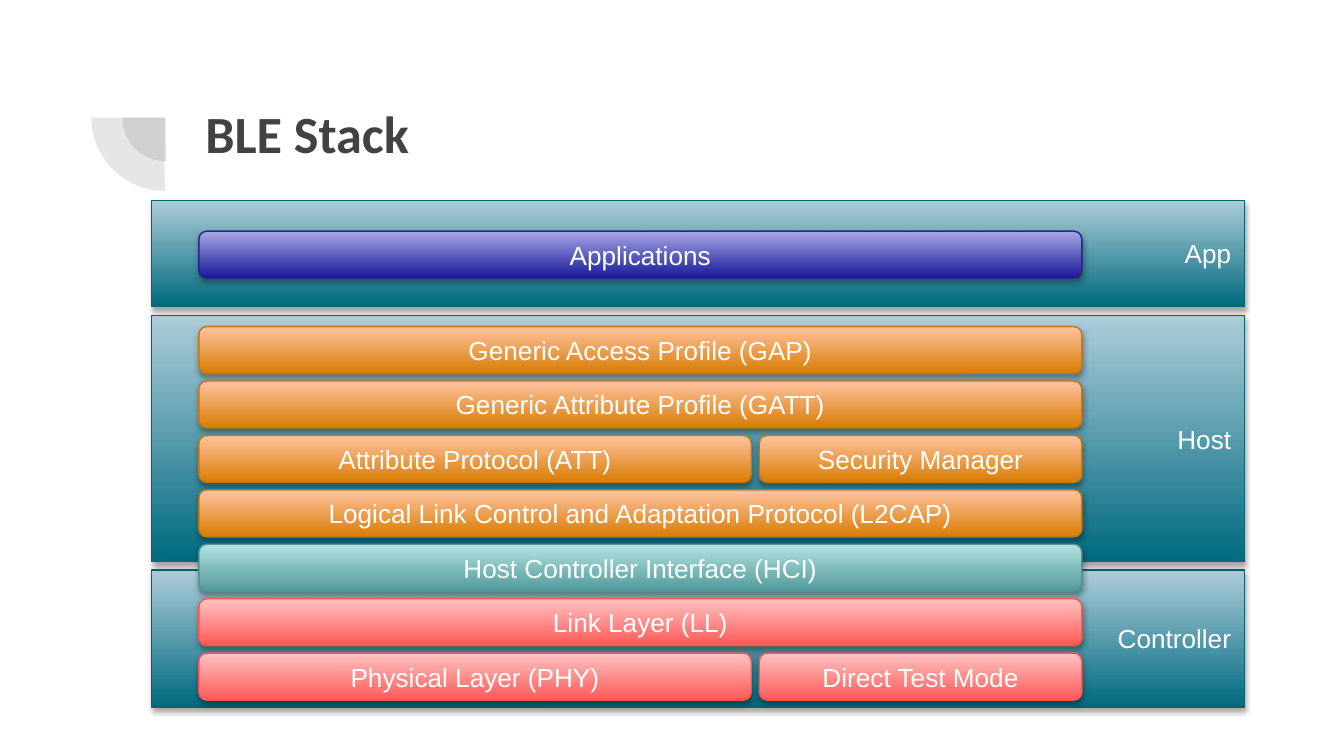
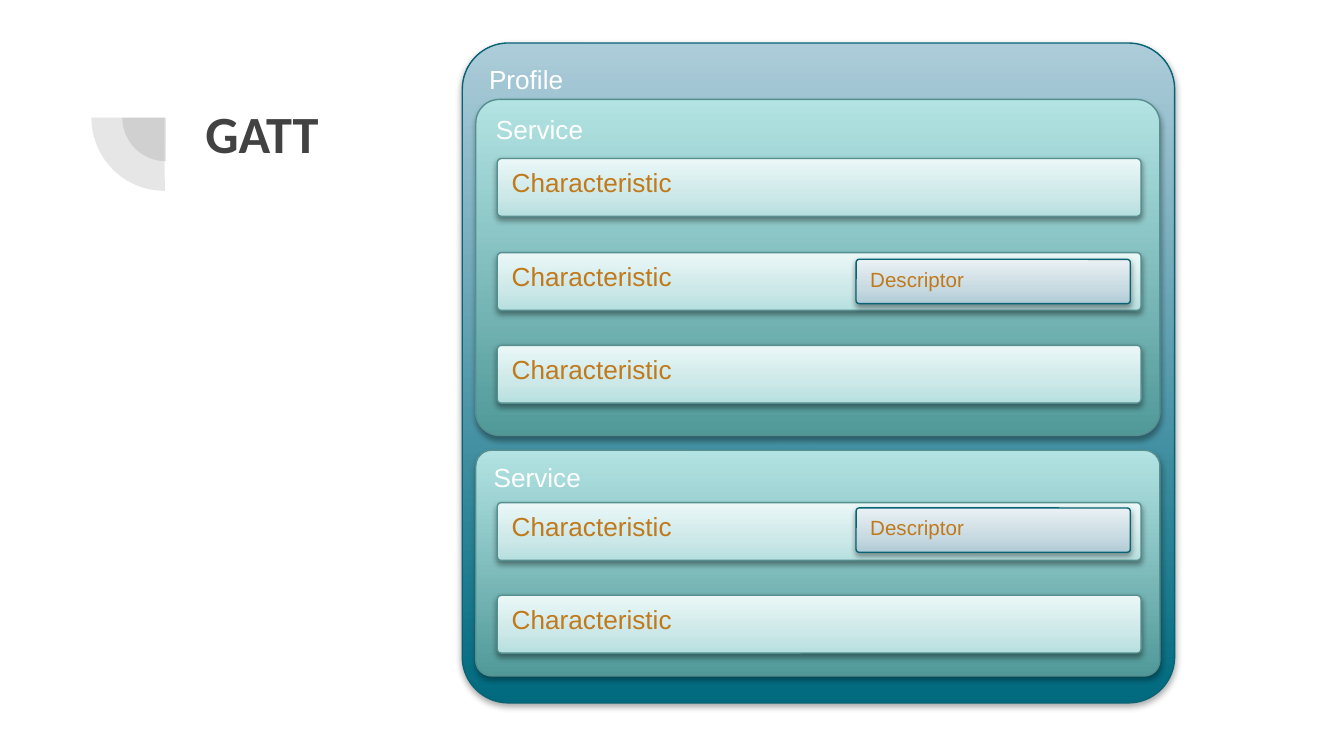
"""Build two slides on Bluetooth Low Energy: the protocol stack and the GATT hierarchy."""
from copy import deepcopy

from lxml.etree import SubElement
from pptx import Presentation
from pptx.dml.color import RGBColor
from pptx.enum.shapes import MSO_SHAPE
from pptx.enum.text import MSO_ANCHOR, PP_ALIGN
from pptx.oxml.ns import qn
from pptx.util import Inches, Pt

THEME = {
    "ink": "424242",
    "motif_opacity": 13,
    "title": {"name": "Calibri", "size": Pt(28), "bold": True},
    "body": {"name": "Arial", "size": Pt(14)},
    "small": {"name": "Arial", "size": Pt(11)},
    "line_width": Pt(0.75),
    "strong_shadow": {"opacity": 35, "distance": 1.8},
    "soft_shadow": {"opacity": 38, "distance": 1.6},
    "shadow_blur": 3.1,
    "styles": {
        "petrol": {"stops": {0: "006A7F", 1: "ADCCD9"}, "line": "086374", "text": "FFFFFF"},
        "indigo": {"stops": {0: "18189A", 1: "A7A7E6"}, "line": "24248A", "text": "FFFFFF"},
        "orange": {"stops": {0: "D97C02", 1: "FFC3A0"}, "line": "C07716", "text": "FFFFFF"},
        "teal": {"stops": {0: "519999", 1: "B3E3E3"}, "line": "568F8F", "text": "FFFFFF"},
        "red": {"stops": {0: "FF5956", 1: "FFC3C3"}, "line": "FB5552", "text": "FFFFFF"},
        "pale_teal": {"stops": {0: "B6DFDF", 0.35: "CCE8E8", 1: "EBF7F7"},
                      "line": "568F8F", "text": "C0791B"},
        "pale_petrol": {"stops": {0: "B0CBD6", 0.35: "C8DAE2", 1: "EAF1F4"},
                        "line": "086374", "text": "C0791B"},
    },
}


def write_text(shape, text, font, color, alignment, anchor):
    frame = shape.text_frame
    frame.word_wrap = True
    frame.vertical_anchor = anchor
    paragraph = frame.paragraphs[0]
    paragraph.alignment = alignment
    run = paragraph.add_run()
    run.text = text
    for attribute, value in THEME[font].items():
        setattr(run.font, attribute, value)
    run.font.color.rgb = RGBColor.from_string(color)


def add_block(slide, text, box, style_name, kind=MSO_SHAPE.ROUNDED_RECTANGLE, rounding=None,
              font="body", alignment=PP_ALIGN.CENTER, anchor=MSO_ANCHOR.MIDDLE):
    style = THEME["styles"][style_name]
    shape = slide.shapes.add_shape(kind, *map(Inches, box))
    if rounding is not None:
        shape.adjustments[0] = rounding
    shape.fill.gradient()
    shape.fill.gradient_angle = 90
    properties = shape._element.spPr
    stop_list = properties.find(".//" + qn("a:gsLst"))
    while len(stop_list) < len(style["stops"]):
        stop_list.insert(1, deepcopy(stop_list[0]))
    for stop, (position, color) in zip(shape.fill.gradient_stops, style["stops"].items()):
        stop.position = position
        stop.color.rgb = RGBColor.from_string(color)
    shape.line.color.rgb = RGBColor.from_string(style["line"])
    shape.line.width = THEME["line_width"]
    shape.shadow.inherit = False
    shadow = THEME["soft_shadow" if len(style["stops"]) == 3 else "strong_shadow"]
    outer = SubElement(properties.find(qn("a:effectLst")), qn("a:outerShdw"), {
        "blurRad": str(Pt(THEME["shadow_blur"])), "dist": str(Pt(shadow["distance"])),
        "dir": "5400000", "rotWithShape": "0"})
    black = SubElement(outer, qn("a:srgbClr"), val="000000")
    SubElement(black, qn("a:alpha"), val=str(shadow["opacity"] * 1000))
    write_text(shape, text, font, style["text"], alignment, anchor)


presentation = Presentation()
presentation.slide_width = Inches(10)
presentation.slide_height = Inches(10) * 9 // 16

slides = []
for title in ("BLE Stack", "GATT"):
    slide = presentation.slides.add_slide(presentation.slide_layouts[6])
    for left, top, size in ((0.91, 0.55, 0.65), (0.68, 0.33, 1.09)):
        pie = slide.shapes.add_shape(MSO_SHAPE.PIE, *map(Inches, (left, top, size, size)))
        pie.rotation = 270
        pie.adjustments[0], pie.adjustments[1] = 107.93, 162
        pie.shadow.inherit = False
        pie.line.fill.background()
        pie.fill.solid()
        pie.fill.fore_color.rgb = RGBColor.from_string(THEME["ink"])
        tint = pie._element.spPr.find(qn("a:solidFill"))[0]
        SubElement(tint, qn("a:alpha"), val=str(THEME["motif_opacity"] * 1000))
    title_box = slide.shapes.add_textbox(*map(Inches, (1.43, 0.65, 7.69, 1.09)))
    for side in ("left", "top", "right", "bottom"):
        setattr(title_box.text_frame, f"margin_{side}", Inches(0.1))
    write_text(title_box, title, "title", THEME["ink"], PP_ALIGN.LEFT, MSO_ANCHOR.TOP)
    slides.append(slide)
stack_slide, gatt_slide = slides

for band, top, height in (("Controller", 4.24, 1.02), ("Host", 2.35, 1.83), ("App", 1.49, 0.79)):
    add_block(stack_slide, band, (1.13, top, 8.13, height), "petrol",
              kind=MSO_SHAPE.RECTANGLE, alignment=PP_ALIGN.RIGHT)

layer_left, layer_width, layer_height = 1.48, 6.57, 0.35
split_left, split_width = 5.65, 4.11
add_block(stack_slide, "Applications", (layer_left, 1.72, layer_width, layer_height), "indigo")
layers = (
    ("orange", "Generic Access Profile (GAP)"),
    ("orange", "Generic Attribute Profile (GATT)"),
    ("orange", "Attribute Protocol (ATT)", "Security Manager"),
    ("orange", "Logical Link Control and Adaptation Protocol (L2CAP)"),
    ("teal", "Host Controller Interface (HCI)"),
    ("red", "Link Layer (LL)"),
    ("red", "Physical Layer (PHY)", "Direct Test Mode"),
)
first_layer_top, last_layer_top = 2.43, 4.86
layer_pitch = (last_layer_top - first_layer_top) / (len(layers) - 1)
for row, (style_name, *names) in enumerate(layers):
    top = first_layer_top + row * layer_pitch
    spans = [(layer_left, layer_width)]
    if len(names) == 2:
        spans = [(layer_left, split_width), (split_left, layer_left + layer_width - split_left)]
    for name, (left, width) in zip(names, spans):
        add_block(stack_slide, name, (left, top, width, layer_height), style_name)

nested = {"rounding": 0.07, "alignment": PP_ALIGN.LEFT, "anchor": MSO_ANCHOR.TOP}
add_block(gatt_slide, "Profile", (3.44, 0.32, 5.3, 4.91), "petrol", **nested)
services = (
    (0.74, 2.5, (1.18, 1.88, 2.57), 1.93),
    (3.35, 1.68, (3.74, 4.43), 3.78),
)
for service_top, service_height, characteristic_tops, descriptor_top in services:
    add_block(gatt_slide, "Service", (3.54, service_top, 5.09, service_height), "teal", **nested)
    for top in characteristic_tops:
        add_block(gatt_slide, "Characteristic", (3.7, top, 4.79, 0.43), "pale_teal", **nested)
    add_block(gatt_slide, "Descriptor", (6.37, descriptor_top, 2.04, 0.33), "pale_petrol",
              font="small", **nested)

presentation.save("out.pptx")
